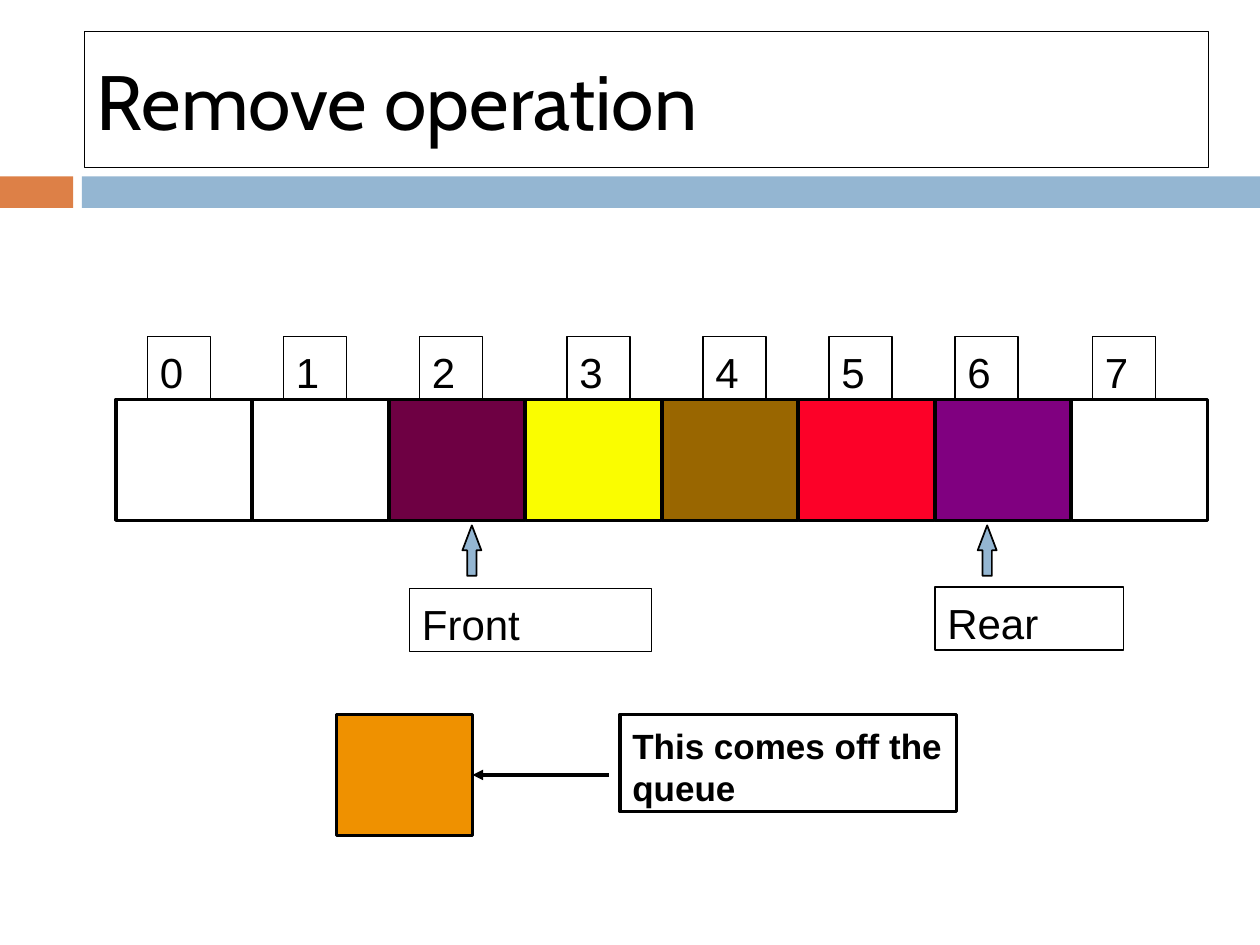
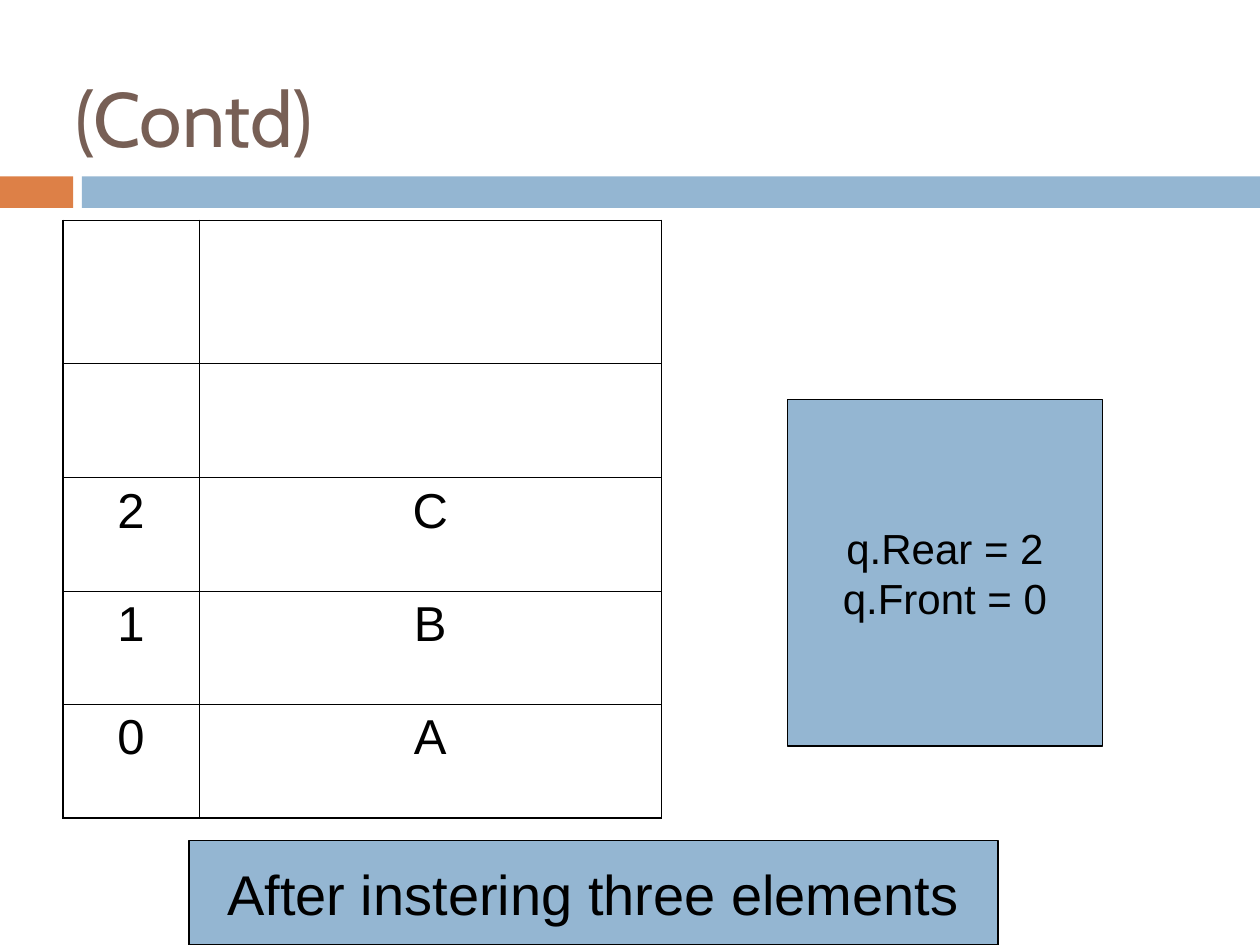
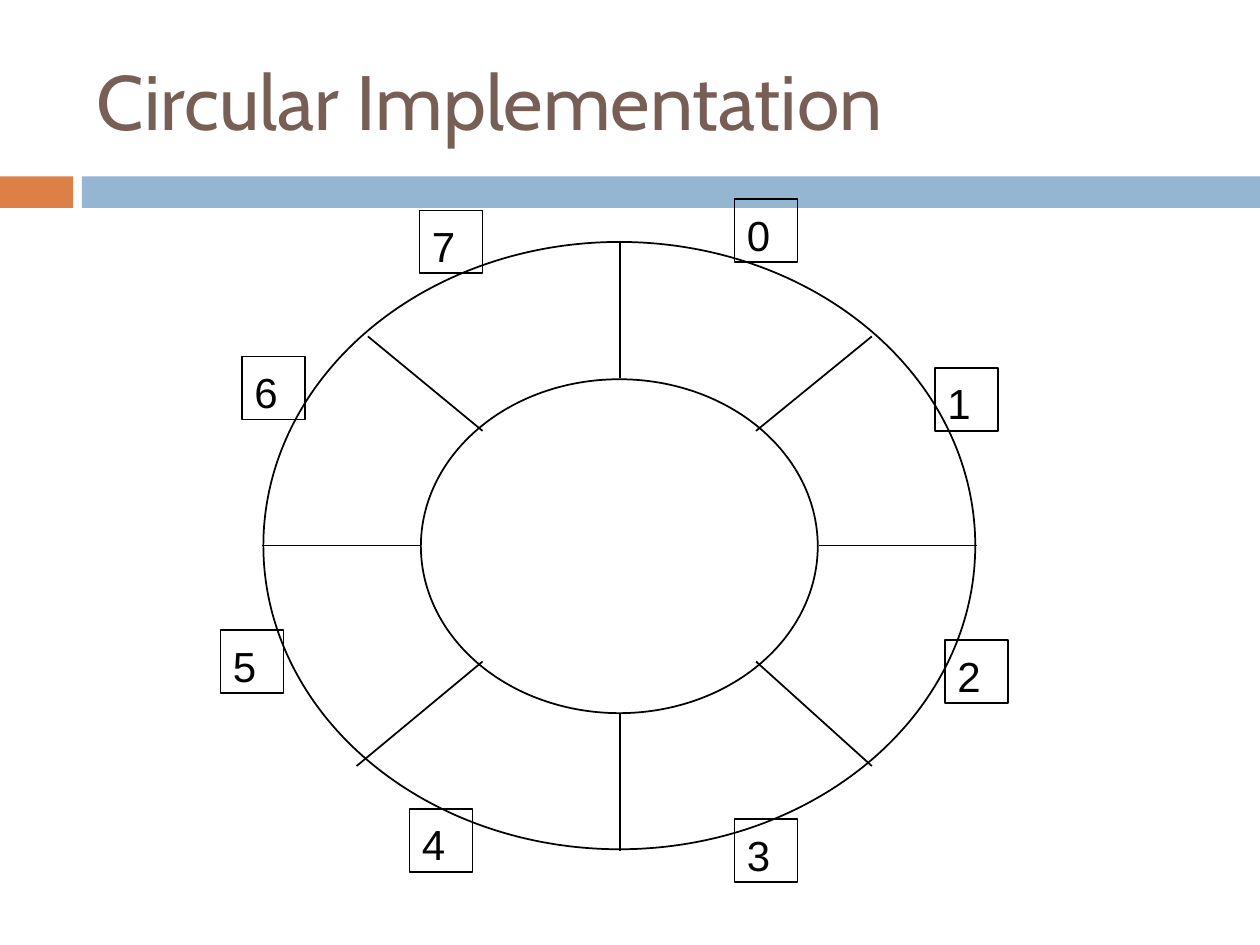
from pptx import Presentation
from pptx.dml.color import RGBColor
from pptx.enum.shapes import MSO_CONNECTOR, MSO_SHAPE
from pptx.enum.text import MSO_ANCHOR, PP_ALIGN
from pptx.oxml.ns import qn
from pptx.util import Inches, Pt
from lxml.etree import SubElement

BLACK = "000000"
BLUE = "94B6D2"
ORANGE = "DD8047"
BROWN = "775F55"
rgb = RGBColor.from_string


def box(slide, x, y, w, h, text="", fill=None, edge=BLACK, width=0.75,
        size=24, font="Arial", color=BLACK, bold=False, mid=False,
        align=PP_ALIGN.LEFT, kind=MSO_SHAPE.RECTANGLE):
    shape = slide.shapes.add_shape(kind, Inches(x), Inches(y), Inches(w), Inches(h))
    shape.shadow.inherit = False
    if fill:
        shape.fill.solid()
        shape.fill.fore_color.rgb = rgb(fill)
    else:
        shape.fill.background()
    if edge:
        shape.line.color.rgb = rgb(edge)
        shape.line.width = Pt(width)
    else:
        shape.line.fill.background()
    if text:
        frame = shape.text_frame
        frame.word_wrap = True
        frame.vertical_anchor = MSO_ANCHOR.MIDDLE if mid else MSO_ANCHOR.TOP
        frame.margin_top = Inches(0.05 if mid else 0.08)
        frame.margin_bottom = Inches(0.05 if mid else 0.02)
        frame.text = text
        for para in frame.paragraphs:
            para.alignment = align
            para.font.size = Pt(size)
            para.font.name = font
            para.font.bold = bold
            para.font.color.rgb = rgb(color)
    return shape


def line(slide, x1, y1, x2, y2, width=1):
    link = slide.shapes.add_connector(
        MSO_CONNECTOR.STRAIGHT, Inches(x1), Inches(y1), Inches(x2), Inches(y2))
    link.line.color.rgb = rgb(BLACK)
    link.line.width = Pt(width)
    SubElement(link._element.spPr, qn("a:effectLst"))
    return link


deck = Presentation()
deck.slide_width = Inches(10)
deck.slide_height = Inches(7.5)

heads = [
    ("Remove operation", (0.67, 0.25, 8.92, 1.08), BLACK, BLACK),
    ("(Contd)", (0.5, 0.3, 9, 1.25), BROWN, None),
    ("Circular Implementation", (0.67, 0.25, 8.92, 1.08), BROWN, None),
]
slides = []
for text, place, color, edge in heads:
    slide = deck.slides.add_slide(deck.slide_layouts[6])
    box(slide, 0, 1.4, 0.58, 0.25, fill=ORANGE, edge=None)
    box(slide, 0.65, 1.4, 9.35, 0.25, fill=BLUE, edge=None)
    box(slide, *place, text, edge=edge, size=44, font="Cabin", color=color, mid=True)
    slides.append(slide)
queue, state, ring = slides

for x in (7.76, 3.67):
    arrow = box(queue, x, 4.17, 0.15, 0.4, fill=BLUE, width=1, kind=MSO_SHAPE.UP_ARROW)
    arrow.adjustments[0] = 0.5
    arrow.adjustments[1] = 1.32
box(queue, 3.25, 4.67, 1.92, 0.5, "Front")
box(queue, 7.42, 4.66, 1.5, 0.5, "Rear")

for num, x in enumerate((1.17, 2.25, 3.33, 4.5, 5.58, 6.58, 7.58, 8.67)):
    box(queue, x, 2.67, 0.5, 0.5, str(num))
fills = [None, None, "6E0043", "FAFD00", "996600", "FC0128", "800080", None]
for num, fill in enumerate(fills):
    box(queue, 0.92 + num * 13 / 12, 3.17, 1.08, 0.96, fill=fill, width=2)

item = box(queue, 2.67, 5.67, 1.08, 0.96, fill="EF9100", width=2)
link = line(queue, 4.83, 6.15, 3.75, 6.15, 2)
link.end_connect(item, 3)
SubElement(link.line._get_or_add_ln(), qn("a:tailEnd"), type="triangle")
box(queue, 4.92, 5.67, 2.67, 0.77, "This comes off the queue", width=2, size=20, bold=True)

rows = [("", ""), ("", ""), ("2", "C"), ("1", "B"), ("0", "A")]
table = state.shapes.add_table(
    5, 2, Inches(0.5), Inches(1.75), Inches(4.75), Inches(4.74)).table
table.first_row = False
table.horz_banding = False
for col, width in zip(table.columns, (1.08, 3.67)):
    col.width = Inches(width)
for row, height in zip(table.rows, (1.13, 0.91, 0.9, 0.9, 0.9)):
    row.height = Inches(height)
for r, texts in enumerate(rows):
    for c, text in enumerate(texts):
        cell = table.cell(r, c)
        cell.text = text
        para = cell.text_frame.paragraphs[0]
        para.alignment = PP_ALIGN.CENTER
        para.font.size = Pt(28)
        para.font.name = "Arial"
        para.font.color.rgb = rgb(BLACK)
        props = cell._tc.get_or_add_tcPr()
        outer = {"L": c == 0, "R": c == 1, "T": r == 0, "B": r == 4}
        for side, thick in outer.items():
            rule = SubElement(props, qn("a:ln" + side), w=str(Pt(1.08 if thick else 0.45)))
            SubElement(SubElement(rule, qn("a:solidFill")), qn("a:srgbClr"), val=BLACK)
        cell.fill.background()

box(state, 6.25, 3.17, 2.5, 2.75, "q.Rear = 2\nq.Front = 0", fill=BLUE,
    mid=True, align=PP_ALIGN.CENTER)
box(state, 1.5, 6.67, 6.42, 0.83, "After instering three elements", fill=BLUE,
    size=32, mid=True, align=PP_ALIGN.CENTER)

box(ring, 2.09, 1.92, 5.65, 4.82, width=1, kind=MSO_SHAPE.OVAL)
box(ring, 3.34, 3.01, 3.15, 2.65, fill="FFFFFF", width=1, kind=MSO_SHAPE.OVAL)
spokes = [
    (2.08, 4.33, 3.33, 4.33), (2.92, 2.67, 3.83, 3.42),
    (4.92, 1.92, 4.92, 3), (6.92, 2.67, 6, 3.42),
    (6.5, 4.33, 7.75, 4.33), (6.92, 6.08, 6, 5.25),
    (4.92, 5.67, 4.92, 6.75, 0.75), (3.83, 5.25, 2.83, 6.08),
]
for spoke in spokes:
    line(ring, *spoke)
spots = [(5.83, 1.58), (7.42, 2.92), (7.5, 5.08), (5.83, 6.5),
         (3.25, 6.42), (1.75, 5), (1.92, 2.83), (3.33, 1.67)]
for num, (x, y) in enumerate(spots):
    box(ring, x, y, 0.5, 0.5, str(num), width=1)

deck.save("out.pptx")
